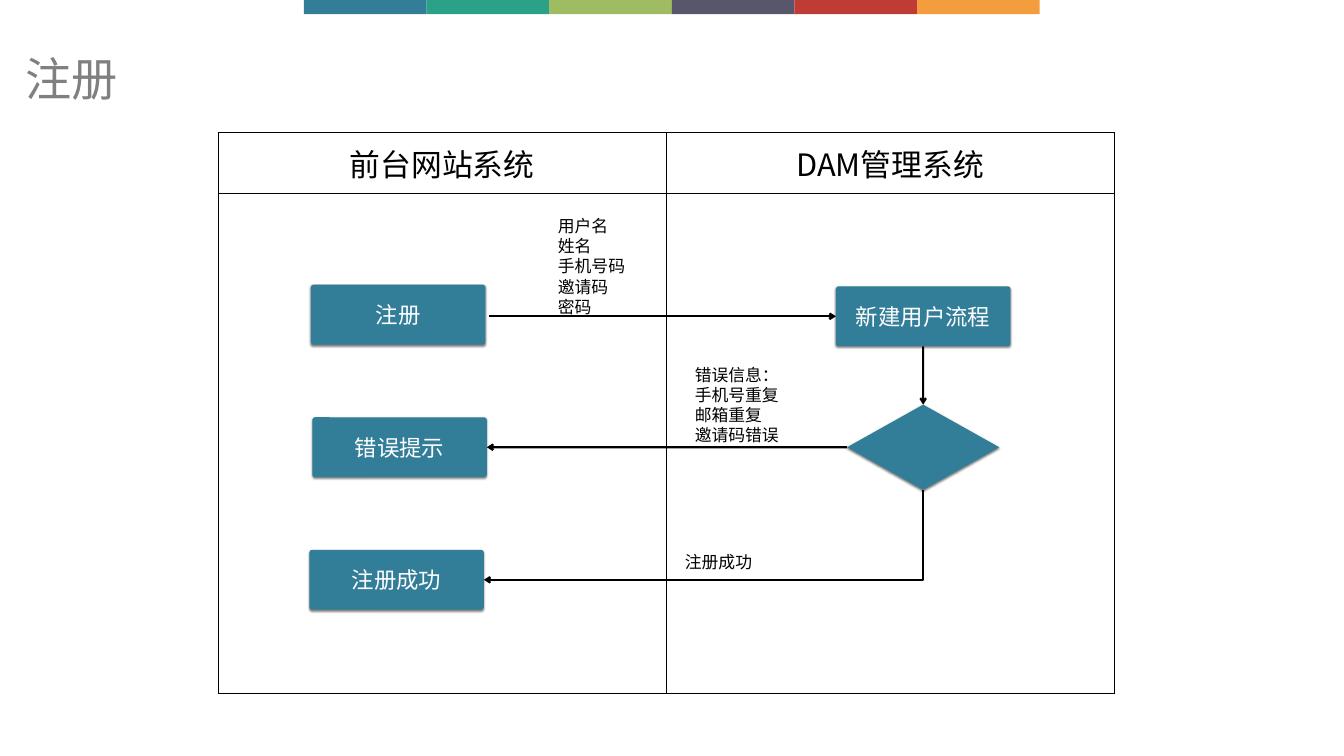
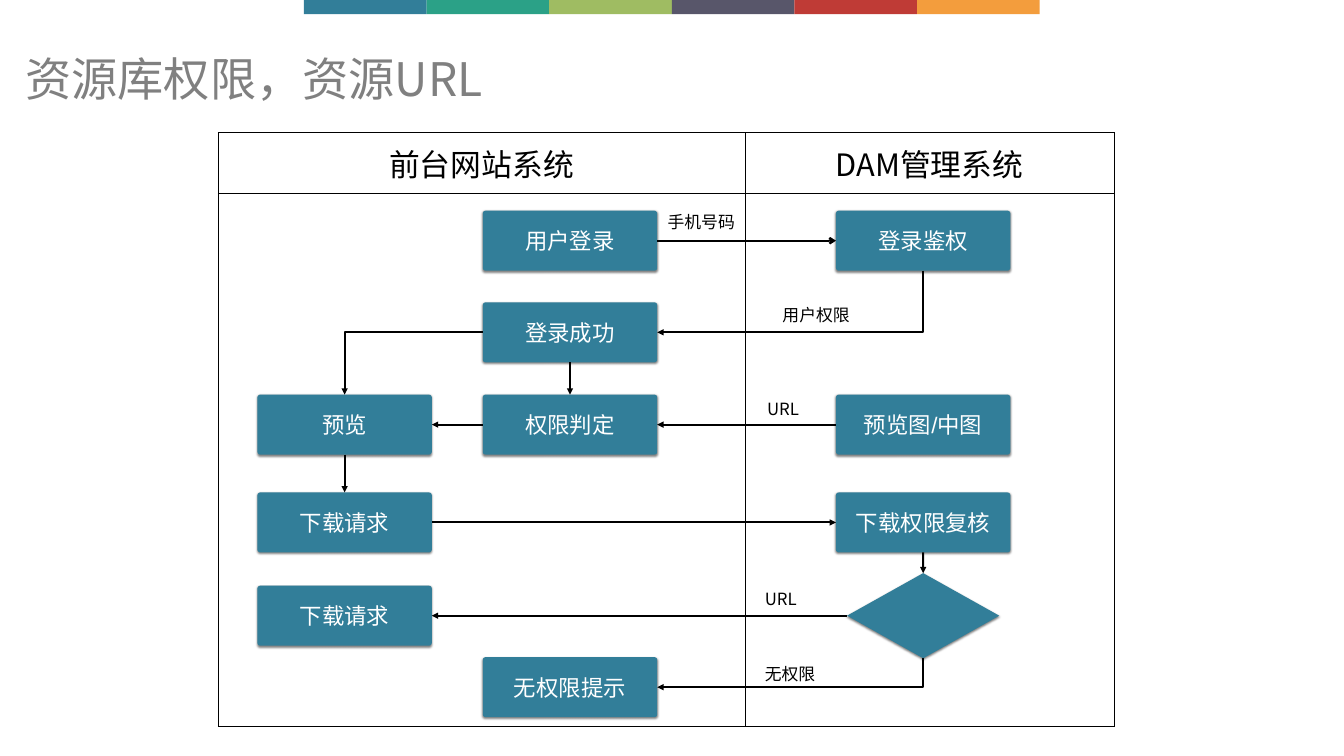
from lxml import etree
from pptx import Presentation
from pptx.dml.color import RGBColor
from pptx.enum.shapes import MSO_CONNECTOR, MSO_SHAPE
from pptx.enum.text import MSO_ANCHOR, MSO_AUTO_SIZE, PP_ALIGN
from pptx.oxml.ns import qn
from pptx.util import Cm, Pt

STRAIGHT = MSO_CONNECTOR.STRAIGHT
ELBOW = MSO_CONNECTOR.ELBOW
RECTANGLE, ROUNDED, DIAMOND = MSO_SHAPE.RECTANGLE, MSO_SHAPE.ROUNDED_RECTANGLE, MSO_SHAPE.DIAMOND
MIDDLE = MSO_ANCHOR.MIDDLE
LEFT, CENTER = PP_ALIGN.LEFT, PP_ALIGN.CENTER
NO_FIT, GROW = MSO_AUTO_SIZE.NONE, MSO_AUTO_SIZE.SHAPE_TO_FIT_TEXT
TOP_SIDE, LEFT_SIDE, BOTTOM_SIDE, RIGHT_SIDE = range(4)

# Shared look, lengths in centimetres
CJK_FONT, BOX_FONT = "Noto Sans CJK SC", "Arial"
BLACK, WHITE, GREY, BLUE = "000000", "FFFFFF", "808080", "327E99"
BAND_COLORS = [BLUE, "2BA187", "9FBC62", "58566A", "BF3B36", "F39D3D"]
BAND_LEFT, BAND_WIDTH, BAND_HEIGHT = 15.32, 6.18, 0.71
TITLE_PLACE = (1.02, 1.5, 45.52, 5.18)
TABLE_LEFT, TABLE_TOP, HEADER_HEIGHT = 11, 6.68, 3.07
BOX_SIZE, DIAMOND_SIZE = (8.79, 3.02), (7.67, 4.29)
LABEL_LINE, LABEL_INSET = 1.02, 0.15
SYSTEMS = ["前台网站系统", "DAM管理系统"]

# Column and row centres of the second flow
FAR, NEAR, DAM = 17.37, 28.73, 46.53
ROWS = [12.13, 16.75, 21.4, 26.33, 31.03, 34.63]

# nodes: name -> (text, centre x, centre y), None for a decision
# arrows: (start node or point, side, end node, side, head)
# labels: (lines, left, top, width)
PAGES = [
    {
        "title": "注册",
        "columns": [22.58, 22.58],
        "body": 25.17,
        "nodes": {
            "register": ("注册", 20.07, 15.86),
            "create": ("新建用户流程", DAM, 15.94),
            "check": (None, DAM, 22.54),
            "error": ("错误提示", 20.14, 22.54),
            "success": ("注册成功", 19.99, 29.22),
        },
        "arrows": [
            ((24.64, 15.94), RIGHT_SIDE, "create", LEFT_SIDE, "arrow"),
            ("create", BOTTOM_SIDE, "check", TOP_SIDE, "arrow"),
            ("check", LEFT_SIDE, "error", RIGHT_SIDE, "arrow"),
            ("check", BOTTOM_SIDE, "success", RIGHT_SIDE, "arrow"),
        ],
        "labels": [
            (["用户名", "姓名", "手机号码", "邀请码", "密码"], 27.97, 10.72, 4.29),
            (["错误信息：", "手机号重复", "邮箱重复", "邀请码错误"], 34.87, 18.21, 6.58),
            (["注册成功"], 34.37, 27.66, 6.58),
        ],
    },
    {
        "title": "资源库权限，资源URL",
        "columns": [26.55, 18.6],
        "body": 26.85,
        "nodes": {
            "login": ("用户登录", NEAR, ROWS[0]),
            "verify": ("登录鉴权", DAM, ROWS[0]),
            "logged in": ("登录成功", NEAR, ROWS[1]),
            "images": ("预览图/中图", DAM, ROWS[2]),
            "preview": ("预览", FAR, ROWS[2]),
            "rights": ("权限判定", NEAR, ROWS[2]),
            "request": ("下载请求", FAR, ROWS[3]),
            "review": ("下载权限复核", DAM, ROWS[3]),
            "check": (None, DAM, ROWS[4]),
            "download": ("下载请求", FAR, ROWS[4]),
            "refused": ("无权限提示", NEAR, ROWS[5]),
        },
        "arrows": [
            ("login", RIGHT_SIDE, "verify", LEFT_SIDE, "arrow"),
            ("verify", BOTTOM_SIDE, "logged in", RIGHT_SIDE, "triangle"),
            ("logged in", LEFT_SIDE, "preview", TOP_SIDE, "triangle"),
            ("logged in", BOTTOM_SIDE, "rights", TOP_SIDE, "triangle"),
            ("images", LEFT_SIDE, "rights", RIGHT_SIDE, "triangle"),
            ("rights", LEFT_SIDE, "preview", RIGHT_SIDE, "triangle"),
            ("preview", BOTTOM_SIDE, "request", TOP_SIDE, "triangle"),
            ("request", RIGHT_SIDE, "review", LEFT_SIDE, "triangle"),
            ("review", BOTTOM_SIDE, "check", TOP_SIDE, "triangle"),
            ("check", LEFT_SIDE, "download", RIGHT_SIDE, "triangle"),
            ("check", BOTTOM_SIDE, "refused", RIGHT_SIDE, "triangle"),
        ],
        "labels": [
            (["手机号码"], 33.5, 10.52, 4.29),
            (["用户权限"], 39.29, 15.19, 6.58),
            (["URL"], 38.51, 19.94, 3.73),
            (["URL"], 38.4, 29.51, 3.73),
            (["无权限"], 38.4, 33.3, 3.73),
        ],
    },
]


def color(hex_text):
    return RGBColor.from_string(hex_text)


def lengths(*values):
    return [Cm(value) for value in values]


def write(frame, lines, size, ink, align, font_name=CJK_FONT):
    frame.text = "\n".join(lines)
    for para in frame.paragraphs:
        para.alignment = align
        para.font.size = Pt(size)
        para.font.name = font_name
        para.font.color.rgb = color(ink)
        defaults = para._p.pPr.find(qn("a:defRPr"))
        etree.SubElement(defaults, qn("a:ea"), typeface=CJK_FONT)


def set_insets(frame, inset):
    frame.margin_left = frame.margin_right = Cm(inset)
    frame.margin_top = frame.margin_bottom = Cm(inset)


def add_filled(page, kind, place, fill):
    shape = page.shapes.add_shape(kind, *lengths(*place))
    shape.shadow.inherit = False
    shape.fill.solid()
    shape.fill.fore_color.rgb = color(fill)
    shape.line.fill.background()
    return shape


def add_bands(page, layout):
    """Draw the colour bands and hand them to the shared layout."""
    for index, fill in enumerate(BAND_COLORS):
        place = (BAND_LEFT + index * BAND_WIDTH, 0, BAND_WIDTH, BAND_HEIGHT)
        band = add_filled(page, RECTANGLE, place, fill)
        layout.shapes.element.append(band.element)


def add_title(page, text):
    title = page.shapes.title
    title.left, title.top, title.width, title.height = lengths(*TITLE_PLACE)
    frame = title.text_frame
    frame.auto_size = NO_FIT
    frame.vertical_anchor = MIDDLE
    write(frame, [text], 66, GREY, LEFT)
    frame.paragraphs[0].line_spacing = 0.9


def add_borders(cell):
    properties = cell._tc.get_or_add_tcPr()
    for index, side in enumerate(("lnL", "lnR", "lnT", "lnB")):
        border = etree.Element(qn("a:" + side), w=str(Pt(1)))
        fill = etree.SubElement(border, qn("a:solidFill"))
        etree.SubElement(fill, qn("a:srgbClr"), val=BLACK)
        properties.insert(index, border)


def add_lanes(page, widths, body_height):
    heights = [HEADER_HEIGHT, body_height]
    place = lengths(TABLE_LEFT, TABLE_TOP, sum(widths), sum(heights))
    table = page.shapes.add_table(2, 2, *place).table
    table.first_row = table.horz_banding = False
    for row, height in zip(table.rows, heights):
        row.height = Cm(height)
    for column, width in zip(table.columns, widths):
        column.width = Cm(width)
    for cell in table.iter_cells():
        cell.fill.background()
        add_borders(cell)
    for cell, system in zip(table.rows[0].cells, SYSTEMS):
        cell.vertical_anchor = MIDDLE
        write(cell.text_frame, [system], 44, BLACK, CENTER)


def add_node(page, text, center_x, center_y):
    kind, (width, height) = (ROUNDED, BOX_SIZE) if text else (DIAMOND, DIAMOND_SIZE)
    place = (center_x - width / 2, center_y - height / 2, width, height)
    node = add_filled(page, kind, place, BLUE)
    effects = node.element.spPr.find(qn("a:effectLst"))
    shadow = etree.SubElement(effects, qn("a:outerShdw"), blurRad=str(Pt(3)),
                              dist=str(Pt(2)), dir="5400000", rotWithShape="0")
    tint = etree.SubElement(shadow, qn("a:srgbClr"), val=BLACK)
    etree.SubElement(tint, qn("a:alpha"), val="50000")
    if text:
        node.adjustments[0] = 0.046
        frame = node.text_frame
        frame.vertical_anchor = MIDDLE
        set_insets(frame, LABEL_INSET)
        write(frame, [text], 32, WHITE, CENTER, BOX_FONT)
    return node


def side_point(node, side):
    across = {LEFT_SIDE: 0, RIGHT_SIDE: 2}.get(side, 1)
    down = {TOP_SIDE: 0, BOTTOM_SIDE: 2}.get(side, 1)
    return node.left + node.width * across // 2, node.top + node.height * down // 2


def add_elbow(page, start, end, downward):
    """Bend once: down then left when downward, else left then down."""
    (start_x, start_y), (end_x, end_y) = start, end
    if downward:
        # A quarter turn swaps the sides of the unrotated frame
        width, height = end_y - start_y, start_x - end_x
        left = (start_x + end_x - width) // 2
        top = (start_y + end_y - height) // 2
        elbow = page.shapes.add_connector(ELBOW, left, top, left + width, top + height)
        elbow.element.spPr.find(qn("a:xfrm")).set("rot", "5400000")
    else:
        elbow = page.shapes.add_connector(ELBOW, start_x, start_y, end_x, end_y)
    elbow.element.spPr.find(qn("a:prstGeom")).set("prst", "bentConnector2")
    return elbow


def add_arrow(page, nodes, start, start_side, end, end_side, head):
    free_start = isinstance(start, tuple)
    begin = lengths(*start) if free_start else side_point(nodes[start], start_side)
    finish = side_point(nodes[end], end_side)
    if (start_side - end_side) % 2:
        arrow = add_elbow(page, begin, finish, start_side == BOTTOM_SIDE)
    else:
        arrow = page.shapes.add_connector(STRAIGHT, *begin, *finish)
        if not free_start:
            arrow.begin_connect(nodes[start], start_side)
        arrow.end_connect(nodes[end], end_side)
    arrow.line.width = Pt(3)
    arrow.line.color.rgb = color(BLACK)
    properties = arrow.element.spPr
    etree.SubElement(properties.find(qn("a:ln")), qn("a:tailEnd"), type=head)
    etree.SubElement(properties, qn("a:effectLst"))


def add_label(page, lines, left, top, width):
    height = LABEL_LINE * len(lines) + 2 * LABEL_INSET
    frame = page.shapes.add_textbox(*lengths(left, top, width, height)).text_frame
    frame.word_wrap = True
    frame.auto_size = GROW
    frame.vertical_anchor = MIDDLE
    set_insets(frame, LABEL_INSET)
    write(frame, lines, 24, BLACK, LEFT)


def main():
    deck = Presentation()
    deck.slide_width, deck.slide_height = lengths(67.74, 38.1)
    layout = deck.slide_layouts[5]
    for number, content in enumerate(PAGES):
        page = deck.slides.add_slide(layout)
        if number == 0:
            add_bands(page, layout)
        add_title(page, content["title"])
        add_lanes(page, content["columns"], content["body"])
        nodes = {name: add_node(page, *node) for name, node in content["nodes"].items()}
        for arrow in content["arrows"]:
            add_arrow(page, nodes, *arrow)
        for label in content["labels"]:
            add_label(page, *label)
    deck.save("out.pptx")


if __name__ == "__main__":
    main()
